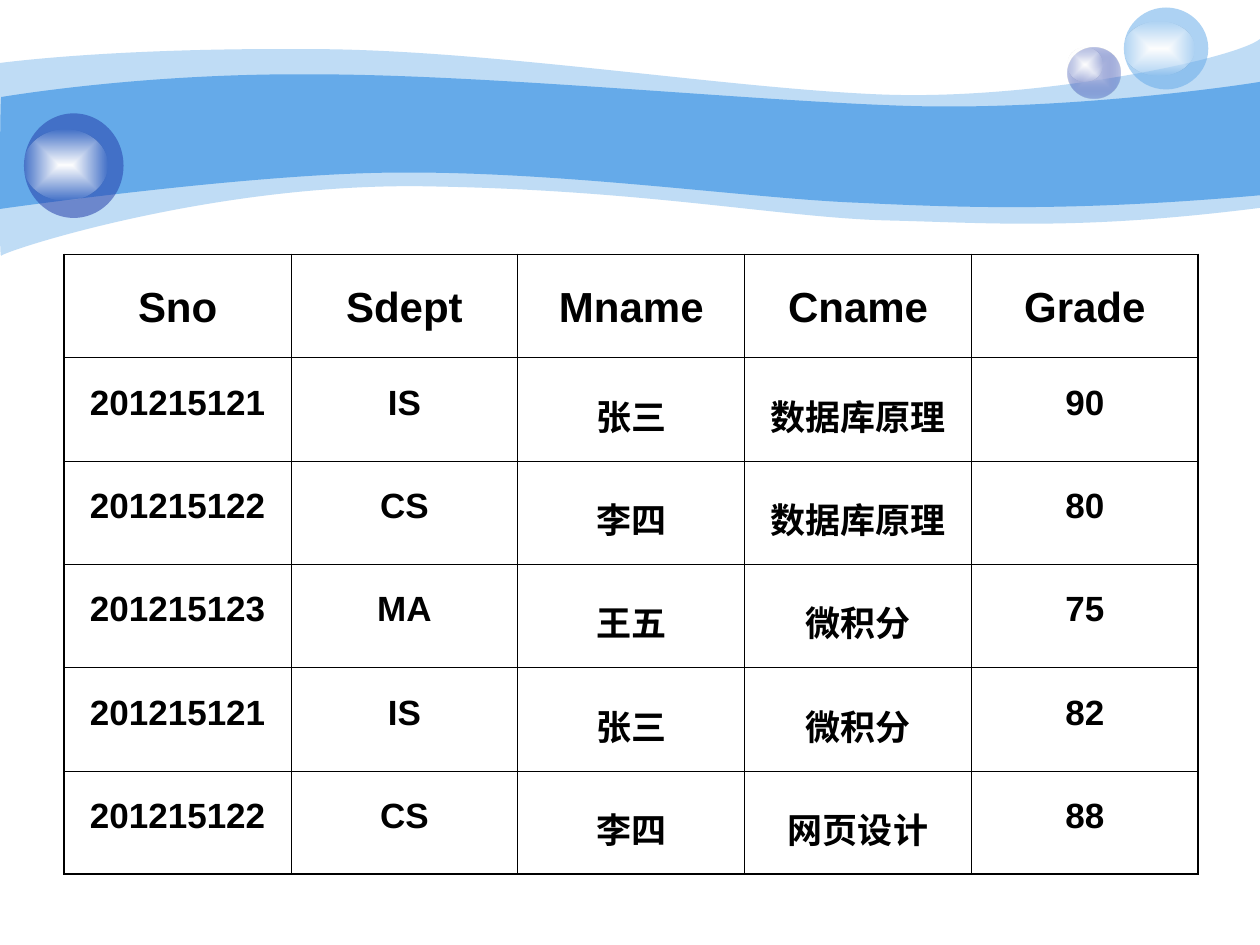
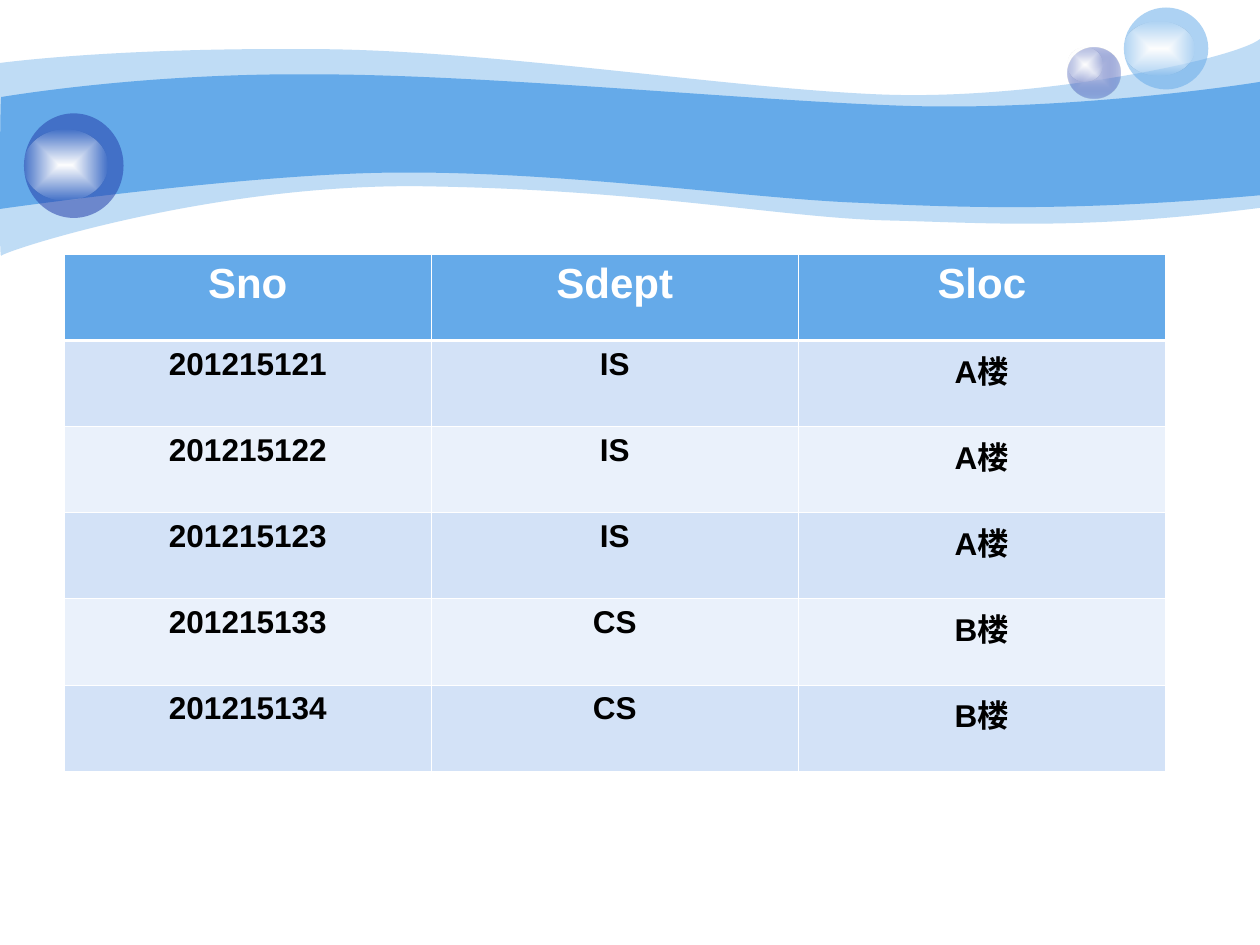
from dataclasses import dataclass

from lxml import etree
from pptx import Presentation
from pptx import util as u
from pptx.dml.color import RGBColor
from pptx.enum import shapes, text
from pptx.oxml import ns


@dataclass(frozen=True)
class Theme:
    font: str = "Arial"
    blue: str = "65AAE9"
    navy: str = "233DA9"
    lilac: str = "C7CEE9"
    white: str = "FFFFFF"
    black: str = "000000"
    band_dark: str = "D3E2F7"
    band_light: str = "EAF1FB"
    head_size: int = 24
    thin: float = 0.45


@dataclass(frozen=True)
class TableStyle:
    border: str
    outer: float
    under_head: float
    head_fill: str | None
    body_fills: tuple
    head_color: str
    body_size: int
    line_spacing: float | None = None
    head_before: int = 0
    body_before: int = 0


T = Theme()
GRID = TableStyle(T.black, 1.08, T.thin, None, (None,), T.black, 20, 1.5, 6, 5)
BANDED = TableStyle(T.white, T.thin, 1.47, T.blue,
                    (T.band_dark, T.band_light), T.white, 18)

# Wave outlines: start point, then curves (three points) and lines (one point)
OUTER_WAVE = ((0, 0.5), [
    [(0.24, 0.47), (1.07, 0.38), (2.47, 0.39)],
    [(3.86, 0.39), (5.75, 0.7), (6.99, 0.75)],
    [(8.22, 0.8), (9.8, 0.47), (10, 0.31)],
    [(10, 1.65)],
    [(8.58, 1.83), (7.87, 1.77), (7.05, 1.75)],
    [(6.22, 1.73), (5.15, 1.51), (3.43, 1.48)],
    [(1.72, 1.44), (0.04, 1.99), (0.01, 2.03)],
    [(-0.01, 2.08), (0, 0.75), (0, 0.5)]])
INNER_WAVE = ((0.01, 0.77), [
    [(0.02, 0.77), (1.1, 0.58), (2.48, 0.59)],
    [(3.86, 0.59), (5.95, 0.8), (7.18, 0.84)],
    [(8.41, 0.88), (9.76, 0.69), (10, 0.65)],
    [(10, 1.55)],
    [(8.53, 1.68), (7.65, 1.65), (6.82, 1.61)],
    [(5.99, 1.58), (4.47, 1.36), (3.17, 1.37)],
    [(2.03, 1.37), (-0.02, 1.66), (-0.01, 1.66)],
    [(0, 1.66), (0, 0.77), (0.01, 0.77)]])

GRADES = [
    ("Sno", "Sdept", "Mname", "Cname", "Grade"),
    ("201215121", "IS", "张三", "数据库原理", "90"),
    ("201215122", "CS", "李四", "数据库原理", "80"),
    ("201215123", "MA", "王五", "微积分", "75"),
    ("201215121", "IS", "张三", "微积分", "82"),
    ("201215122", "CS", "李四", "网页设计", "88"),
]
LOCATIONS = [
    ("Sno", "Sdept", "Sloc"),
    ("201215121", "IS", "A楼"),
    ("201215122", "IS", "A楼"),
    ("201215123", "IS", "A楼"),
    ("201215133", "CS", "B楼"),
    ("201215134", "CS", "B楼"),
]


def rgb(color):
    return RGBColor.from_string(color)


# Fills
def set_alpha(parent, percent):
    color = next(parent.iter(ns.qn("a:srgbClr")))
    etree.SubElement(color, ns.qn("a:alpha"), val=str(percent * 1000))


def fill_solid(sp, color, alpha=100):
    sp.fill.solid()
    sp.fill.fore_color.rgb = rgb(color)
    if alpha < 100:
        set_alpha(sp.element.spPr.find(ns.qn("a:solidFill")), alpha)


def fill_glow(sp, center, edge, edge_alpha):
    sp.fill.gradient()
    for stop, color in zip(sp.fill.gradient_stops, (center, edge)):
        stop.color.rgb = rgb(color)
    grad = sp.element.spPr.find(ns.qn("a:gradFill"))
    set_alpha(grad.findall(".//" + ns.qn("a:gs"))[-1], edge_alpha)
    grad.remove(grad.find(ns.qn("a:lin")))
    rect = etree.SubElement(grad, ns.qn("a:path"), {"path": "rect"})
    etree.SubElement(rect, ns.qn("a:fillToRect"),
                     dict.fromkeys("ltrb", "50000"))


def plain(sp):
    sp.shadow.inherit = False
    sp.line.fill.background()
    return sp


# Shared background
def bend_segments(sp, segments):
    """Turn the straight segments that have control points into curves."""
    lines = list(sp.element.iter(ns.qn("a:lnTo")))
    for line, points in zip(lines, segments):
        if len(points) == 1:
            continue
        curve = etree.Element(ns.qn("a:cubicBezTo"))
        for x, y in points:
            etree.SubElement(curve, ns.qn("a:pt"),
                             x=str(u.Inches(x) - sp.left),
                             y=str(u.Inches(y) - sp.top))
        line.getparent().replace(line, curve)


def add_wave(parts, outline, alpha):
    start, segments = outline
    builder = parts.build_freeform(*map(u.Inches, start))
    builder.add_line_segments(
        [tuple(map(u.Inches, points[-1])) for points in segments], close=True)
    wave = plain(builder.convert_to_shape())
    bend_segments(wave, segments)
    fill_solid(wave, T.blue, alpha)


def add_ball(parts, box, shine_box):
    """Add a ball with a white shine placed relative to it; return the ball."""
    x, y, w, h = box
    dx, dy, sw, sh = shine_box
    group = parts.add_group_shape()
    ball, shine = (
        plain(group.shapes.add_shape(shapes.MSO_SHAPE.OVAL, *map(u.Inches, b)))
        for b in (box, (x + dx, y + dy, sw, sh)))
    fill_glow(shine, T.white, T.white, 0)
    return ball


def decorate(layout, slide):
    """Draw the waves and balls, then hand them to the shared layout."""
    for holder in list(layout.placeholders):
        holder.element.getparent().remove(holder.element)
    parts = slide.shapes
    add_wave(parts, OUTER_WAVE, 41)
    add_wave(parts, INNER_WAVE, 100)
    small = add_ball(parts, (8.47, 0.38, 0.42, 0.4), (0, 0, 0.28, 0.27))
    fill_glow(small, T.lilac, T.navy, 31)
    light = add_ball(parts, (8.92, 0.06, 0.67, 0.65), (0, 0.11, 0.56, 0.43))
    fill_solid(light, T.blue, 53)
    dark = add_ball(parts, (0.19, 0.9, 0.79, 0.83), (0, 0.13, 0.66, 0.56))
    fill_solid(dark, T.navy, 53)
    for sp in list(parts):
        layout.shapes.element.append(sp.element)


# Tables
def set_borders(cell, color, widths):
    props = cell._tc.get_or_add_tcPr()
    for i, (side, width) in enumerate(zip("LRTB", widths)):
        line = etree.Element(ns.qn(f"a:ln{side}"), w=str(u.Pt(width)))
        fill = etree.SubElement(line, ns.qn("a:solidFill"))
        etree.SubElement(fill, ns.qn("a:srgbClr"), val=color)
        props.insert(i, line)


def write_cell(cell, content, style, is_head):
    p = cell.text_frame.paragraphs[0]
    p.alignment = text.PP_ALIGN.CENTER
    if style.line_spacing:
        p.line_spacing = style.line_spacing
        p.space_before = u.Pt(style.head_before if is_head
                              else style.body_before)
    r = p.add_run()
    r.text = content
    r.font.name, r.font.bold = T.font, True
    r.font.size = u.Pt(T.head_size if is_head else style.body_size)
    r.font.color.rgb = rgb(style.head_color if is_head else T.black)


def add_data_table(slide, box, rows, style):
    x, y, w, h = map(u.Inches, box)
    n_rows, n_cols = len(rows), len(rows[0])
    table = slide.shapes.add_table(n_rows, n_cols, x, y, w, h).table
    table.first_row = style.head_fill is not None
    table.horz_banding = len(style.body_fills) > 1
    for i, row in enumerate(rows):
        if i == 0:
            color = style.head_fill
        else:
            color = style.body_fills[(i - 1) % len(style.body_fills)]
        top = {0: style.outer, 1: style.under_head}.get(i, T.thin)
        bottom = {0: style.under_head, n_rows - 1: style.outer}.get(i, T.thin)
        for j, content in enumerate(row):
            cell = table.cell(i, j)
            if color:
                cell.fill.solid()
                cell.fill.fore_color.rgb = rgb(color)
            else:
                cell.fill.background()
            left = style.outer if j == 0 else T.thin
            right = style.outer if j == n_cols - 1 else T.thin
            set_borders(cell, style.border, (left, right, top, bottom))
            write_cell(cell, content, style, i == 0)


def main():
    prs = Presentation()
    prs.slide_width, prs.slide_height = u.Inches(10), u.Inches(7.5)
    layout = prs.slide_layouts[6]

    grades = prs.slides.add_slide(layout)
    decorate(layout, grades)
    add_data_table(grades, (0.51, 2.02, 9, 4.92), GRADES, GRID)

    locations = prs.slides.add_slide(layout)
    add_data_table(locations, (0.51, 2.02, 8.74, 4.1), LOCATIONS, BANDED)

    prs.save("out.pptx")


if __name__ == "__main__":
    main()
